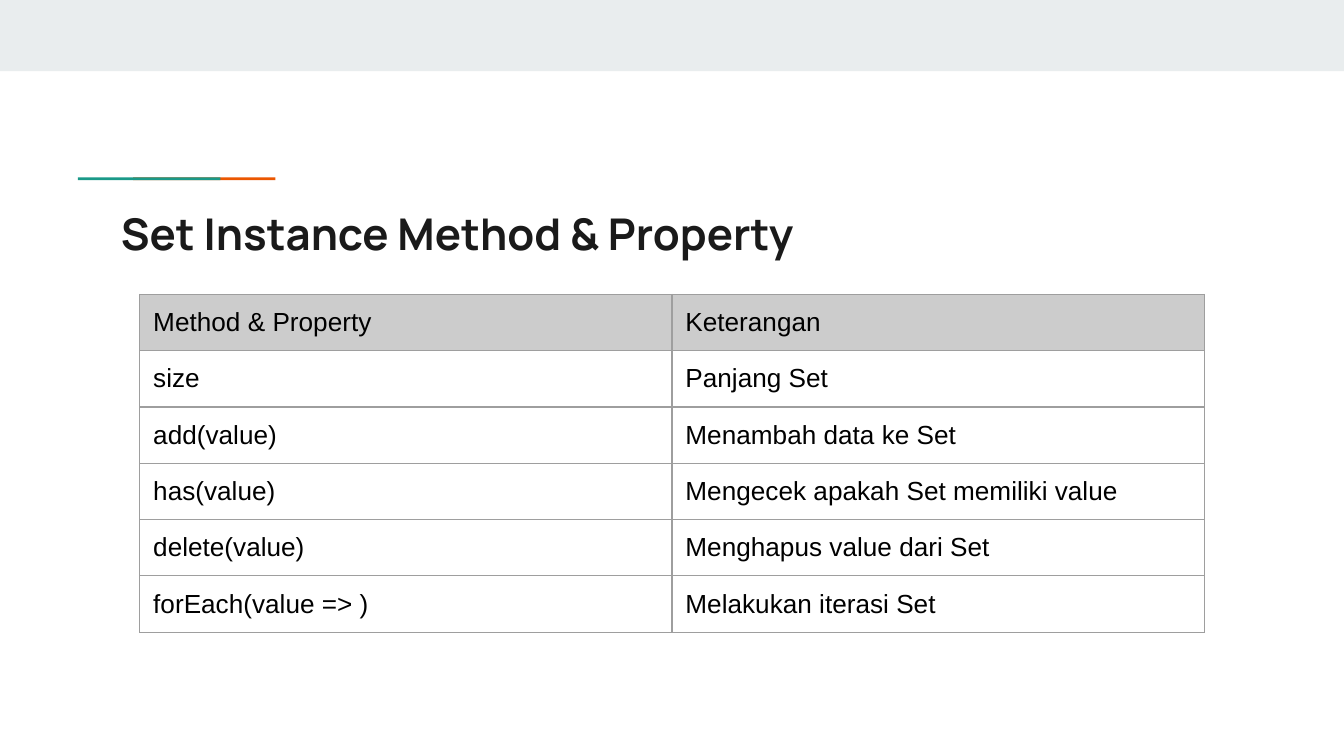
from lxml.etree import SubElement
from pptx import Presentation
from pptx.dml.color import RGBColor
from pptx.enum.shapes import MSO_SHAPE
from pptx.enum.text import MSO_ANCHOR, MSO_AUTO_SIZE, PP_ALIGN
from pptx.oxml.ns import qn
from pptx.util import Inches, Pt

WHITE = RGBColor(0xFF, 0xFF, 0xFF)
BAND = RGBColor(0xE9, 0xED, 0xEE)
ORANGE = RGBColor(0xEB, 0x56, 0x00)
TEAL = RGBColor(0x1A, 0x99, 0x88)
INK = RGBColor(0x1A, 0x1A, 0x1A)
BLACK = RGBColor(0, 0, 0)
HEADER = RGBColor(0xCC, 0xCC, 0xCC)
BORDER = RGBColor(0x9E, 0x9E, 0x9E)

METHODS = [
    ("Method & Property", "Keterangan"),
    ("size", "Panjang Set"),
    ("add(value)", "Menambah data ke Set"),
    ("has(value)", "Mengecek apakah Set memiliki value"),
    ("delete(value)", "Menghapus value dari Set"),
    ("forEach(value => )", "Melakukan iterasi Set"),
]


def add_bar(slide, left, top, width, height, color):
    bar = slide.shapes.add_shape(
        MSO_SHAPE.RECTANGLE, Inches(left), Inches(top), Inches(width), Inches(height))
    bar.shadow.inherit = False
    bar.fill.solid()
    bar.fill.fore_color.rgb = color
    bar.line.fill.background()


def add_accent(slide, left, top, width, height):
    shift = 0.41
    add_bar(slide, left + shift, top, width - shift, height, ORANGE)
    add_bar(slide, left, top, width - shift, height, TEAL)


def style_text(frame, font, size, color, bold=False):
    for para in frame.paragraphs:
        para.alignment = PP_ALIGN.LEFT
        for run in para.runs:
            run.font.name = font
            run.font.size = Pt(size)
            run.font.color.rgb = color
            run.font.bold = bold


def set_title(slide, left, top, width, height, text):
    title = slide.shapes.title
    title.left, title.top = Inches(left), Inches(top)
    title.width, title.height = Inches(width), Inches(height)
    frame = title.text_frame
    frame.text = text
    frame.word_wrap = True
    frame.auto_size = MSO_AUTO_SIZE.NONE
    frame.vertical_anchor = MSO_ANCHOR.MIDDLE
    frame.margin_left = frame.margin_right = Inches(0.1)
    frame.margin_top = frame.margin_bottom = Inches(0.1)
    style_text(frame, "Manrope", 23.4, INK, True)


def set_border(cell):
    props = cell._tc.get_or_add_tcPr()
    for index, side in enumerate(("lnL", "lnR", "lnT", "lnB")):
        line = props.makeelement(qn(f"a:{side}"), {"w": str(Pt(0.75))})
        fill = SubElement(line, qn("a:solidFill"))
        SubElement(fill, qn("a:srgbClr"), val=str(BORDER))
        props.insert(index, line)


def add_methods(slide, left, top, width, height, rows):
    table = slide.shapes.add_table(
        len(rows), len(rows[0]), Inches(left), Inches(top),
        Inches(width), Inches(height)).table
    table.first_row = False
    table.horz_banding = False
    for r, row in enumerate(rows):
        for c, text in enumerate(row):
            cell = table.cell(r, c)
            cell.text_frame.text = text
            cell.margin_left = cell.margin_right = Inches(0.1)
            cell.margin_top = cell.margin_bottom = Inches(0.1)
            if r == 0:
                cell.fill.solid()
                cell.fill.fore_color.rgb = HEADER
            else:
                cell.fill.background()
            style_text(cell.text_frame, "Arial", 14, BLACK)
            set_border(cell)


def main():
    deck = Presentation()
    deck.slide_width = Inches(10)
    deck.slide_height = Inches(10) * 9 // 16
    slide = deck.slides.add_slide(deck.slide_layouts[5])
    slide.background.fill.solid()
    slide.background.fill.fore_color.rgb = WHITE
    add_bar(slide, 0, 0, 10, 0.53, BAND)
    add_accent(slide, 0.58, 1.32, 1.47, 0.02)
    set_title(slide, 0.8, 1.44, 8.41, 0.59, "Set Instance Method & Property")
    add_methods(slide, 1.04, 2.19, 7.92, 2.5, METHODS)
    deck.save("out.pptx")


if __name__ == "__main__":
    main()
